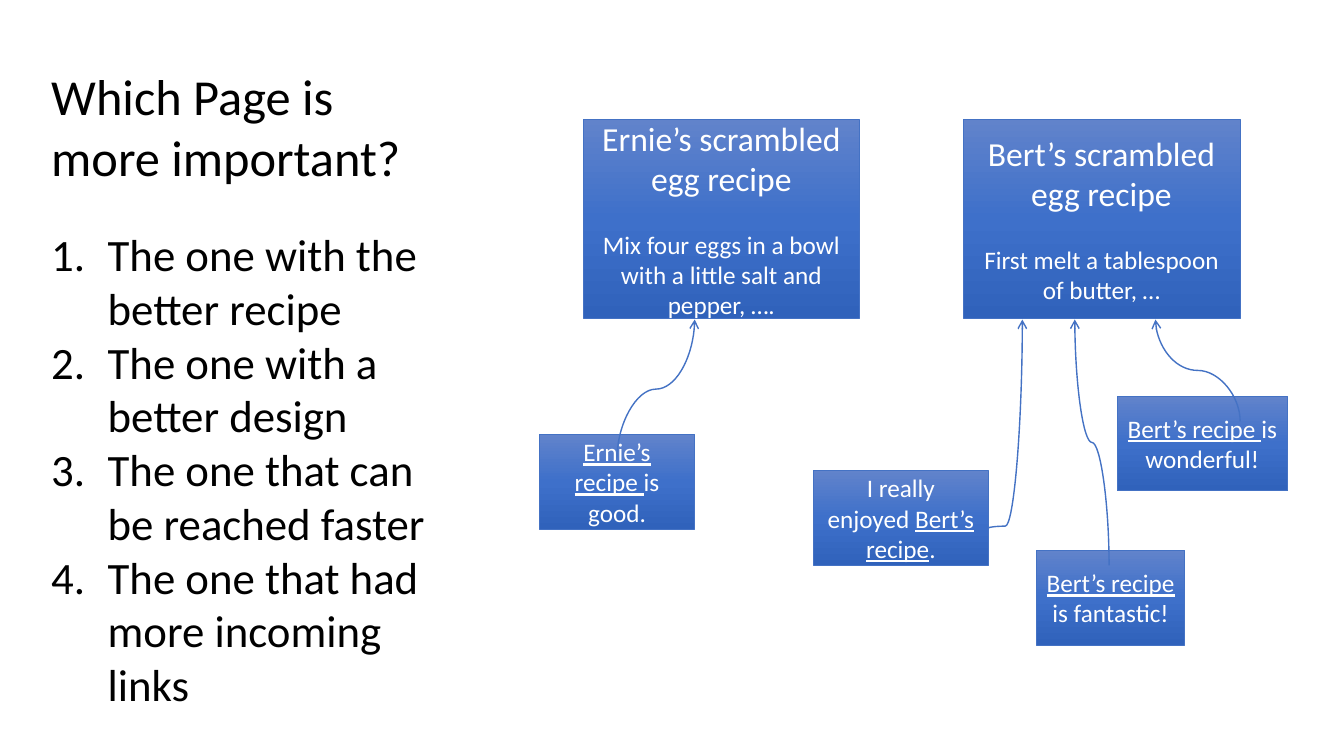
from copy import deepcopy

from pptx import Presentation
from pptx.dml.color import RGBColor
from pptx.enum.shapes import MSO_CONNECTOR, MSO_SHAPE
from pptx.enum.text import MSO_ANCHOR, PP_ALIGN
from pptx.oxml.ns import qn
from pptx.oxml.xmlchemy import OxmlElement
from pptx.util import Inches, Pt

CURVE = MSO_CONNECTOR.CURVE
RECTANGLE = MSO_SHAPE.RECTANGLE
MIDDLE = MSO_ANCHOR.MIDDLE
CENTER = PP_ALIGN.CENTER

BLACK = RGBColor(0x00, 0x00, 0x00)
WHITE = RGBColor(0xFF, 0xFF, 0xFF)
OUTLINE = RGBColor(0x44, 0x72, 0xC4)
GRADIENT = [
    (0, RGBColor(0x61, 0x83, 0xCB)),
    (0.5, RGBColor(0x3E, 0x70, 0xCA)),
    (1, RGBColor(0x30, 0x62, 0xBB)),
]
FONT = "Calibri"

RECIPES = [
    ((5.79, 1.18, 2.73, 1.98), "Ernie’s scrambled egg recipe",
     "Mix four eggs in a bowl with a little salt and pepper, …."),
    ((9.55, 1.18, 2.75, 1.98), "Bert’s scrambled egg recipe",
     "First melt a tablespoon of butter, …"),
]
REVIEWS = [
    ((5.35, 4.31, 1.54, 0.94), [("Ernie’s recipe ", True), ("is good.", False)]),
    ((8.07, 4.67, 1.73, 0.94),
     [("I really enjoyed ", False), ("Bert’s recipe", True), (".", False)]),
    ((11.08, 3.93, 1.69, 0.94), [("Bert’s recipe ", True), ("is wonderful!", False)]),
    ((10.28, 5.46, 1.47, 0.94), [("Bert’s recipe ", True), ("is fantastic!", False)]),
]
LINKS = [
    ((6.12, 4.55), (6.89, 3.17), 0.5),
    ((9.8, 5.24), (10.14, 3.17), 0.01),
    ((11, 5.61), (10.66, 3.17), 0.5),
    ((12.3, 4.18), (11.46, 3.17), 0.5),
]
ANSWERS = [
    "The one with the better recipe",
    "The one with a better design",
    "The one that can be reached faster",
    "The one that had more incoming links",
]


def style_font(font, size, color):
    font.name = FONT
    font.size = Pt(size)
    font.color.rgb = color


def add_web_page(page, box):
    shape = page.shapes.add_shape(RECTANGLE, *map(Inches, box))
    shape.shadow.inherit = False
    shape.fill.gradient()
    shape.fill.gradient_angle = 270
    stop_list = next(shape.element.iter(qn("a:gsLst")))
    stop_list.append(deepcopy(stop_list[0]))
    for stop, (position, color) in zip(shape.fill.gradient_stops, GRADIENT):
        stop.position = position
        stop.color.rgb = color
    shape.line.color.rgb = OUTLINE
    shape.line.width = Pt(0.5)
    frame = shape.text_frame
    frame.word_wrap = True
    frame.vertical_anchor = MIDDLE
    frame.paragraphs[0].alignment = CENTER
    return frame


def add_recipe(page, box, title, body):
    frame = add_web_page(page, box)
    frame.text = f"{title}\n{body}"
    for para, size in zip(frame.paragraphs, (24, 18)):
        para.alignment = CENTER
        style_font(para.runs[0].font, size, WHITE)
    frame.paragraphs[1].space_before = Pt(22)


def add_review(page, box, pieces):
    para = add_web_page(page, box).paragraphs[0]
    for text, linked in pieces:
        span = para.add_run()
        span.text = text
        style_font(span.font, 18, WHITE)
        span.font.underline = linked


def add_link(page, start, end, bend):
    center_x, center_y = (start[0] + end[0]) / 2, (start[1] + end[1]) / 2
    half_x, half_y = start[0] - center_x, start[1] - center_y
    link = page.shapes.add_connector(
        CURVE,
        Inches(center_x - half_y), Inches(center_y + half_x),
        Inches(center_x + half_y), Inches(center_y - half_x),
    )
    link.line.color.rgb = OUTLINE
    link.line.width = Pt(1)
    properties = link.element.spPr
    properties.find(qn("a:xfrm")).set("rot", str(270 * 60000))
    guide = OxmlElement("a:gd")
    guide.set("name", "adj1")
    guide.set("fmla", f"val {round(bend * 100000)}")
    properties.find(qn("a:prstGeom")).find(qn("a:avLst")).append(guide)
    arrowhead = OxmlElement("a:tailEnd")
    arrowhead.set("type", "arrow")
    properties.find(qn("a:ln")).append(arrowhead)
    properties.append(OxmlElement("a:effectLst"))


def add_text(page, box, lines, size, numbered=False):
    frame = page.shapes.add_textbox(*map(Inches, box)).text_frame
    frame.word_wrap = True
    frame.text = "\n".join(lines)
    for para in frame.paragraphs:
        if numbered:
            properties = para._p.get_or_add_pPr()
            properties.set("marL", str(Inches(0.56)))
            properties.set("indent", str(Inches(-0.56)))
            number = OxmlElement("a:buAutoNum")
            number.set("type", "arabicPeriod")
            properties.append(number)
        style_font(para.runs[0].font, size, BLACK)


def main():
    deck = Presentation()
    deck.slide_width = Inches(13.33)
    deck.slide_height = Inches(7.5)
    page = deck.slides.add_slide(deck.slide_layouts[6])
    for recipe in RECIPES:
        add_recipe(page, *recipe)
    for review in REVIEWS:
        add_review(page, *review)
    for link in LINKS:
        add_link(page, *link)
    add_text(page, (0.41, 0.6, 4.1, 1.31), ["Which Page is more important?"], 36)
    add_text(page, (0.41, 2.2, 4, 4.95), ANSWERS, 32, numbered=True)
    deck.save("out.pptx")


if __name__ == "__main__":
    main()
